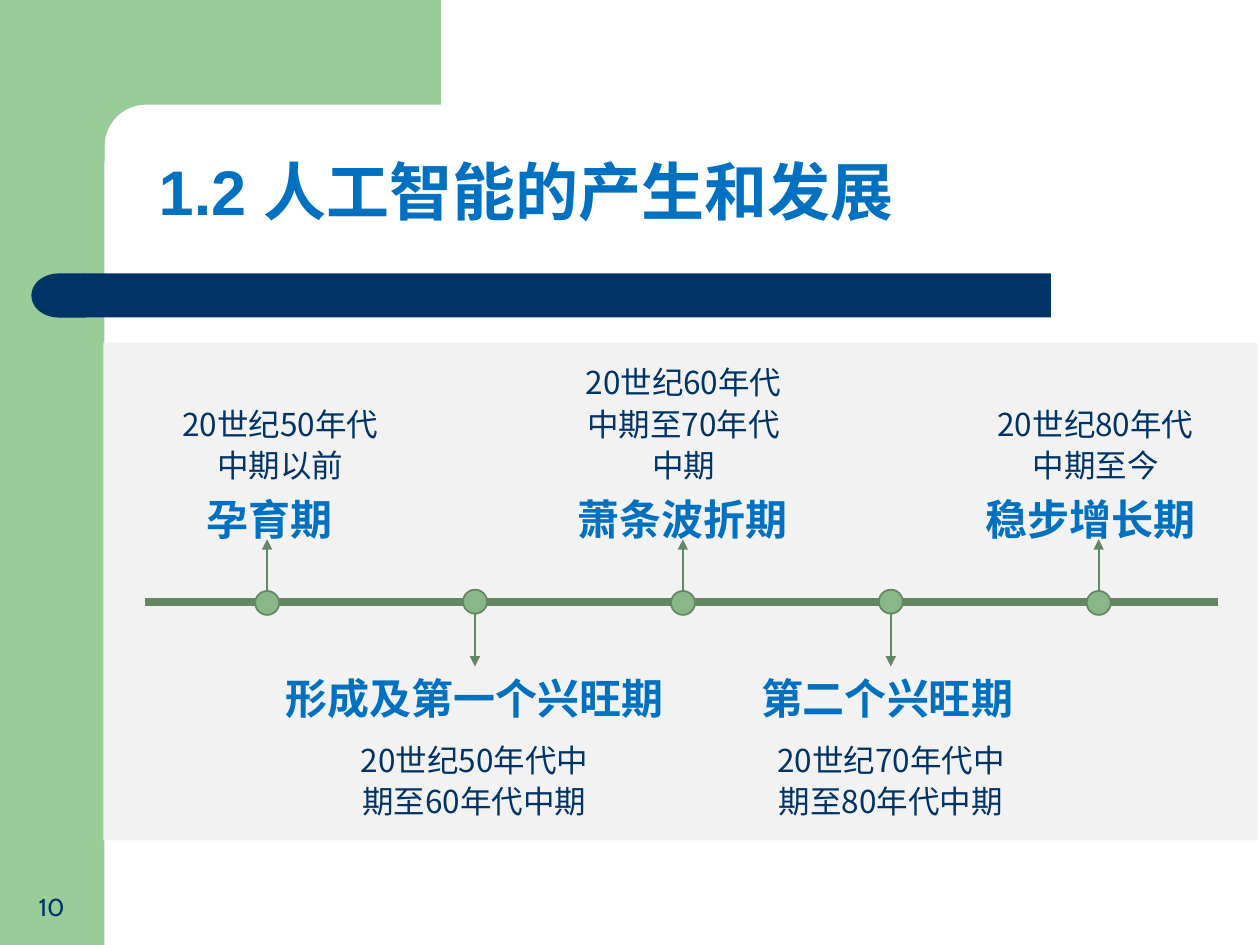
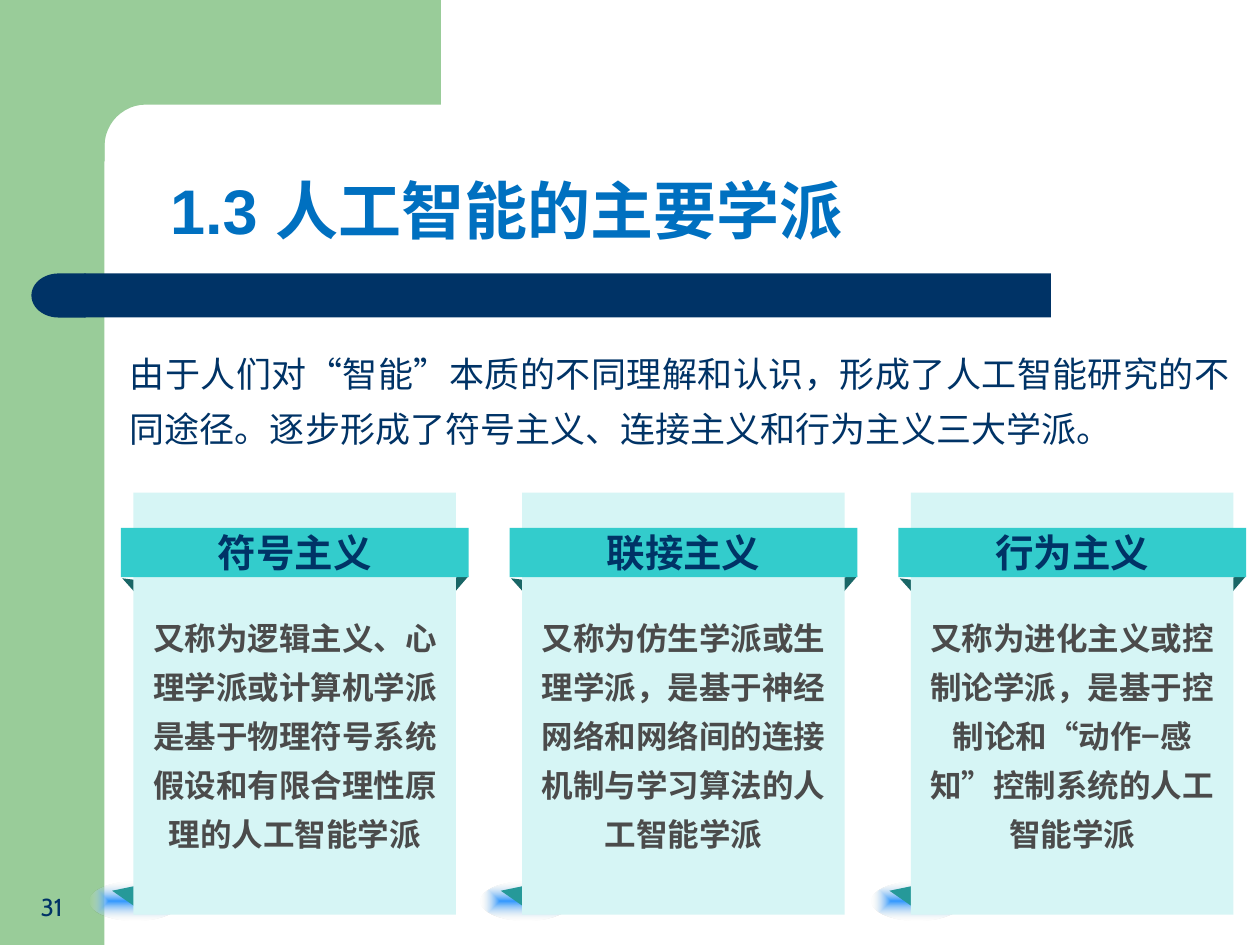
from dataclasses import dataclass
from math import cos, pi, sin

from lxml import etree
from pptx import Presentation
from pptx.dml.color import RGBColor
from pptx.enum.dml import MSO_LINE
from pptx.enum.lang import MSO_LANGUAGE_ID as LANG
from pptx.enum.shapes import MSO_CONNECTOR, MSO_SHAPE
from pptx.enum.text import MSO_ANCHOR, MSO_AUTO_SIZE, PP_ALIGN
from pptx.oxml import parse_xml
from pptx.oxml.ns import nsdecls, qn
from pptx.util import Inches, Pt

# Each phase: label, (left, width), period, (left, width); they alternate up and down
PHASES = [
    ("孕育期", (1.32, 1.64), "20世纪50年代中期以前", (1.31, 1.83)),
    ("形成及第一个兴旺期", (2.12, 3.3), "20世纪50年代中期至60年代中期", (2.76, 2.01)),
    ("萧条波折期", (4.42, 1.99), "20世纪60年代中期至70年代中期", (4.44, 1.97)),
    ("第二个兴旺期", (5.89, 2.3), "20世纪70年代中期至80年代中期", (6.04, 2.06)),
    ("稳步增长期", (7.69, 1.93), "20世纪80年代中期至今", (7.78, 1.83)),
]
INTRO = ("由于人们对“智能”本质的不同理解和认识，形成了人工智能研究的不同途径。"
         "逐步形成了符号主义、连接主义和行为主义三大学派。")
SCHOOLS = [
    ("符号主义", "又称为逻辑主义、心理学派或计算机学派是基于物理符号系统假设和有限合理性原理的人工智能学派"),
    ("联接主义", "又称为仿生学派或生理学派，是基于神经网络和网络间的连接机制与学习算法的人工智能学派"),
    ("行为主义", "又称为进化主义或控制论学派，是基于控制论和“动作−感知”控制系统的人工智能学派"),
]


@dataclass(frozen=True)
class Theme:
    green: str = "99CC99"
    navy: str = "003366"
    blue: str = "0070C0"
    panel: str = "F2F2F2"
    axis: str = "638663"
    node: str = "89B789"
    card: str = "D6F5F5"
    ribbon: str = "33CCCC"
    fold: str = "196666"
    tail: str = "269999"
    grey: str = "4B4B4B"
    glow: str = "3399FF"
    glow_edge: str = "EEECE1"
    cjk: str = "Noto Sans CJK SC"
    latin: str = "Arial"
    serif: str = "Times New Roman"
    number: str = "Cabin"
    title_pt: int = 36
    label_pt: int = 24
    ribbon_pt: int = 22
    intro_pt: int = 20
    body_pt: int = 18
    number_pt: int = 14


T = Theme()


def rgb(value):
    return RGBColor.from_string(value)


def place(sp, left, top, width, height):
    sp.left, sp.top, sp.width, sp.height = map(Inches, (left, top, width, height))


def write(sp, text, size, color, font=T.cjk, bold=False, align=PP_ALIGN.CENTER,
          spacing=None, anchor=MSO_ANCHOR.TOP):
    tf = sp.text_frame
    tf.text = text
    tf.word_wrap = True
    tf.auto_size = MSO_AUTO_SIZE.NONE
    tf.vertical_anchor = anchor
    p = tf.paragraphs[0]
    p.alignment = align
    p.line_spacing = spacing
    p.space_before = Pt(0)
    f = p.runs[0].font
    f.size, f.bold, f.name = Pt(size), bold, font
    f.color.rgb = rgb(color)
    f.language_id = LANG.SIMPLIFIED_CHINESE
    east_asian = etree.SubElement(p.runs[0]._r.get_or_add_rPr(), qn("a:ea"))
    east_asian.set("typeface", T.cjk)
    return tf


def add_text(s, box, text, size, color, **style):
    return write(s.shapes.add_textbox(*map(Inches, box)), text, size, color, **style)


def paint(sp, fill, line=None):
    sp.shadow.inherit = False
    sp.fill.solid()
    sp.fill.fore_color.rgb = rgb(fill)
    if line:
        sp.line.color.rgb = rgb(line)
        sp.line.width = Pt(1)
    else:
        sp.line.fill.background()
    return sp


def add_shape(s, kind, box, fill, line=None):
    return paint(s.shapes.add_shape(kind, *map(Inches, box)), fill, line)


def add_polygon(s, points, fill):
    points = [(Inches(x), Inches(y)) for x, y in points]
    builder = s.shapes.build_freeform(*points[0])
    builder.add_line_segments(points[1:], close=True)
    return paint(builder.convert_to_shape(), fill)


def add_line(s, start, end, width, arrow=False):
    line = s.shapes.add_connector(MSO_CONNECTOR.STRAIGHT, *map(Inches, (*start, *end)))
    line.line.color.rgb = rgb(T.axis)
    line.line.width = Pt(width)
    line.line.dash_style = MSO_LINE.SOLID
    if arrow:
        etree.SubElement(line.line._get_or_add_ln(), qn("a:tailEnd")).set("type", "triangle")
    etree.SubElement(line._element.spPr, qn("a:effectLst"))


def add_glow(s, box):
    """Ellipse that fades from its centre to clear."""
    sp = add_shape(s, MSO_SHAPE.OVAL, box, T.glow)
    spPr = sp._element.spPr
    spPr.replace(spPr.find(qn("a:solidFill")), parse_xml(
        f'<a:gradFill {nsdecls("a")} rotWithShape="1"><a:gsLst>'
        f'<a:gs pos="0"><a:srgbClr val="{T.glow}"/></a:gs>'
        f'<a:gs pos="100000"><a:srgbClr val="{T.glow_edge}"><a:alpha val="0"/></a:srgbClr></a:gs>'
        '</a:gsLst><a:path path="rect">'
        '<a:fillToRect l="50000" t="50000" r="50000" b="50000"/></a:path></a:gradFill>'))


def start_slide(prs, layout, title, title_at, number):
    """Add a slide with the green frame, navy bar, title and page number."""
    s = prs.slides.add_slide(prs.slide_layouts[layout])
    add_shape(s, MSO_SHAPE.RECTANGLE, (0, 0, 0.83, 7.5), T.green)
    radius, steps = 0.33, 12
    angles = [pi / 2 * i / steps for i in range(steps + 1)]
    arc = [(1.16 - radius * sin(a), 1.16 - radius * cos(a)) for a in angles]
    add_polygon(s, [(3.5, 0), (3.5, 0.83), *arc, (0.83, 1.28), (0.5, 1.28), (0.5, 0)], T.green)
    add_shape(s, MSO_SHAPE.RECTANGLE, (0.67, 2.17, 7.67, 0.35), T.navy)
    cap = add_shape(s, MSO_SHAPE.FLOWCHART_DELAY, (0.25, 2.17, 0.43, 0.35), T.navy)
    cap._element.spPr.find(qn("a:xfrm")).set("flipH", "1")

    left, top = title_at
    place(s.shapes.title, left, top, 10 - left, 0.7)
    write(s.shapes.title, title, T.title_pt, T.blue, font=T.latin, bold=True,
          align=PP_ALIGN.LEFT)
    add_text(s, (0.09, 6.83, 0.64, 0.53), number, T.number_pt, T.navy,
             font=T.number, anchor=MSO_ANCHOR.BOTTOM)
    return s


def build_timeline(prs):
    s = start_slide(prs, 5, "1.2 人工智能的产生和发展", (1.16, 1.16), "10")
    add_shape(s, MSO_SHAPE.RECTANGLE, (0.82, 2.72, 9.16, 3.95), T.panel)
    axis_y, first_x, pitch, node = 4.78, 2.12, 1.65, 0.19
    add_line(s, (1.15, axis_y), (9.67, axis_y), 4.5)
    for i, (label, label_span, period, period_span) in enumerate(PHASES):
        up = i % 2 == 0
        x = first_x + i * pitch
        node_top = 4.69 if up else 4.68
        start_y, tip_y = (4.69, 4.28) if up else (4.87, 5.29)
        label_y, period_y = (3.75, 3.12) if up else (5.17, 5.8)
        add_shape(s, MSO_SHAPE.OVAL, (x - node / 2, node_top, node, node), T.node, T.axis)
        add_line(s, (x, start_y), (x, tip_y), 1, arrow=True)
        add_text(s, (label_span[0], label_y, label_span[1], 0.46), label,
                 T.label_pt, T.blue, bold=True, spacing=1.3)
        add_text(s, (period_span[0], period_y, period_span[1], 0.77), period,
                 T.body_pt, T.navy, spacing=1.1,
                 anchor=MSO_ANCHOR.BOTTOM if up else MSO_ANCHOR.TOP)


def build_schools(prs):
    s = start_slide(prs, 1, "1.3 人工智能的主要学派", (1.25, 1.31), "31")
    body = s.placeholders[1]
    place(body, 0.93, 2.65, 8.93, 0.97)
    tf = write(body, INTRO, T.intro_pt, T.navy, font=T.serif,
               align=PP_ALIGN.JUSTIFY, spacing=1.3)
    pPr = tf.paragraphs[0]._p.get_or_add_pPr()
    pPr.set("marL", "0")
    pPr.set("indent", "0")
    etree.SubElement(pPr, qn("a:buNone"))

    # Triangles as offsets from the card's left edge
    folds = [
        ([(-0.09, 4.59), (0.16, 4.62), (0.09, 4.79)], T.fold),
        ([(2.66, 4.57), (2.41, 4.6), (2.48, 4.78)], T.fold),
        ([(0.07, 7.02), (-0.17, 7.07), (0.09, 7.25)], T.tail),
    ]
    for i, (name, description) in enumerate(SCHOOLS):
        x = 1.06 + i * 3.085
        add_glow(s, (0.71 + i * 3.105, 7, 0.72, 0.31))
        for points, color in folds:
            add_polygon(s, [(x + dx, y) for dx, y in points], color)
        card = add_shape(s, MSO_SHAPE.RECTANGLE, (x, 3.91, 2.56, 3.35), T.card)
        tf = write(card, description, T.body_pt, T.grey, font=T.latin, bold=True, spacing=1.3)
        tf.margin_top, tf.margin_bottom = Inches(0.91), 0
        ribbon = add_shape(s, MSO_SHAPE.RECTANGLE, (x - 0.1, 4.19, 2.76, 0.39), T.ribbon)
        write(ribbon, name, T.ribbon_pt, T.navy, bold=True, anchor=MSO_ANCHOR.MIDDLE)


def main():
    prs = Presentation()
    prs.slide_width, prs.slide_height = Inches(10), Inches(7.5)
    build_timeline(prs)
    build_schools(prs)
    prs.save("out.pptx")


if __name__ == "__main__":
    main()
